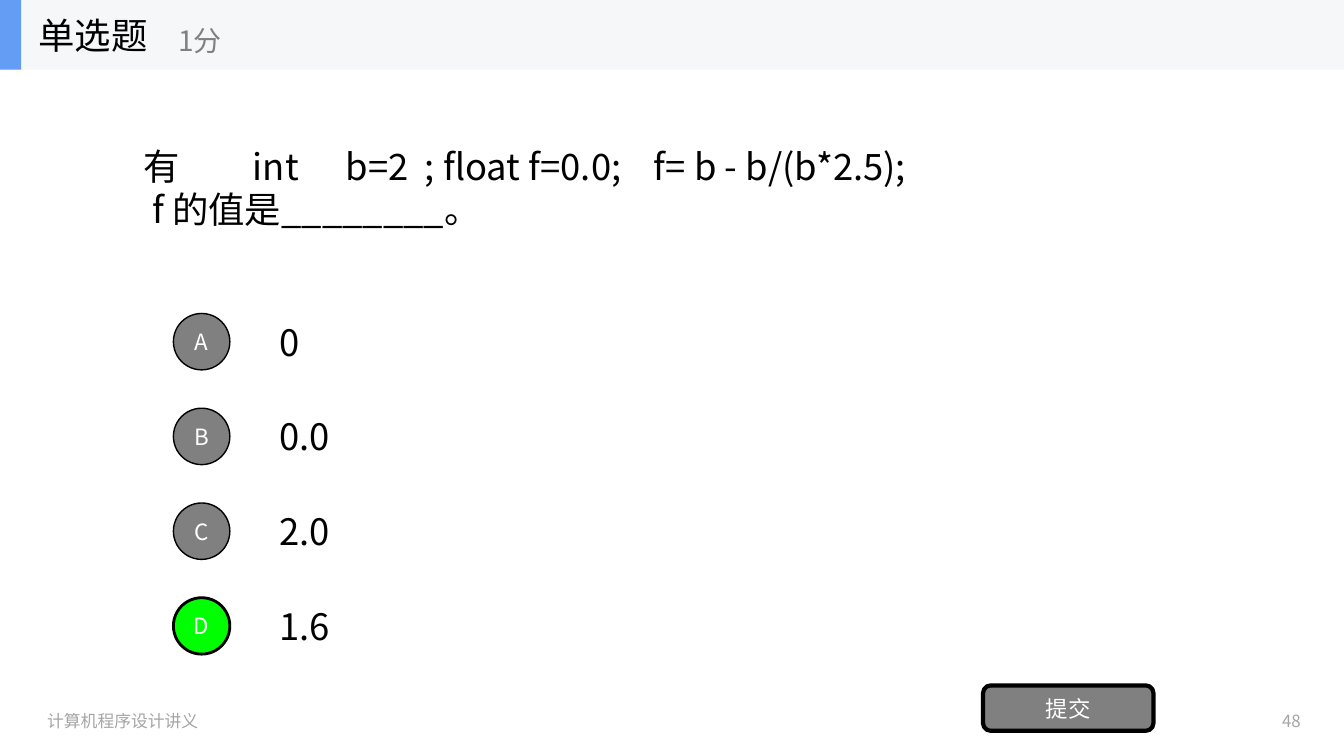
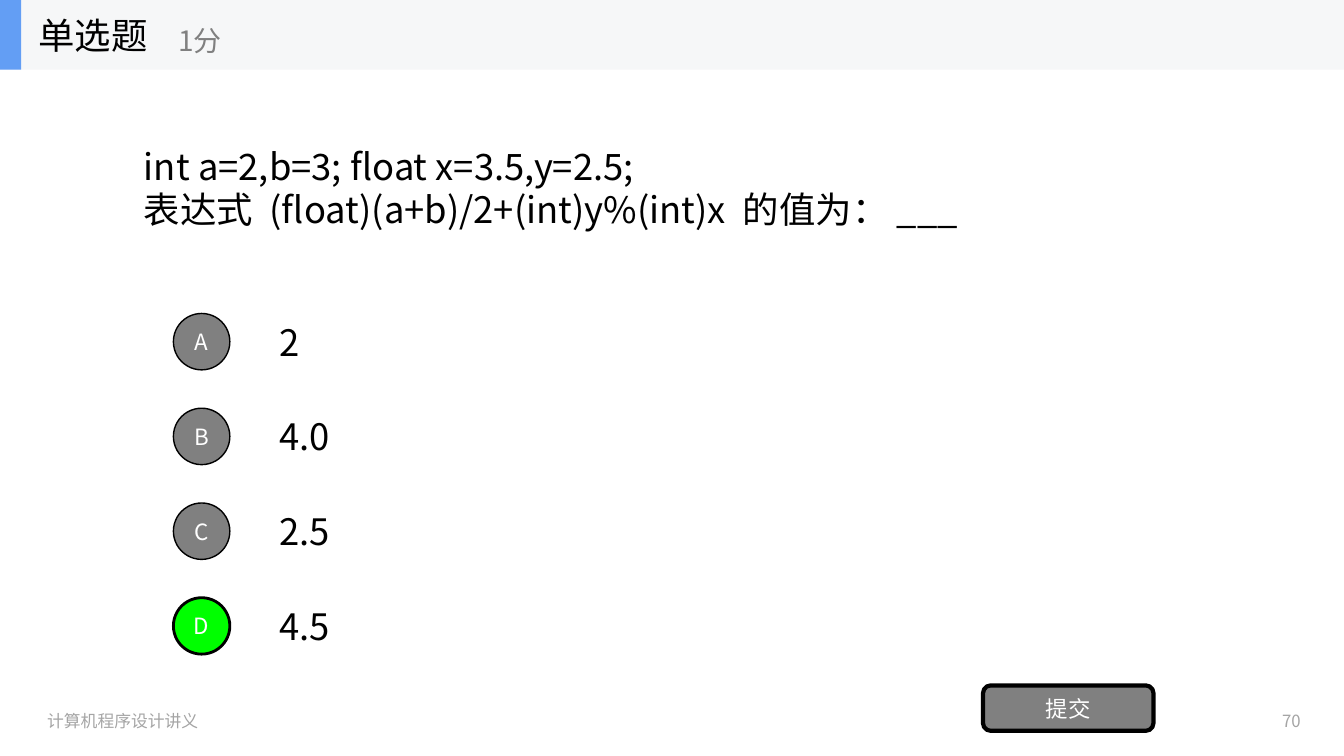
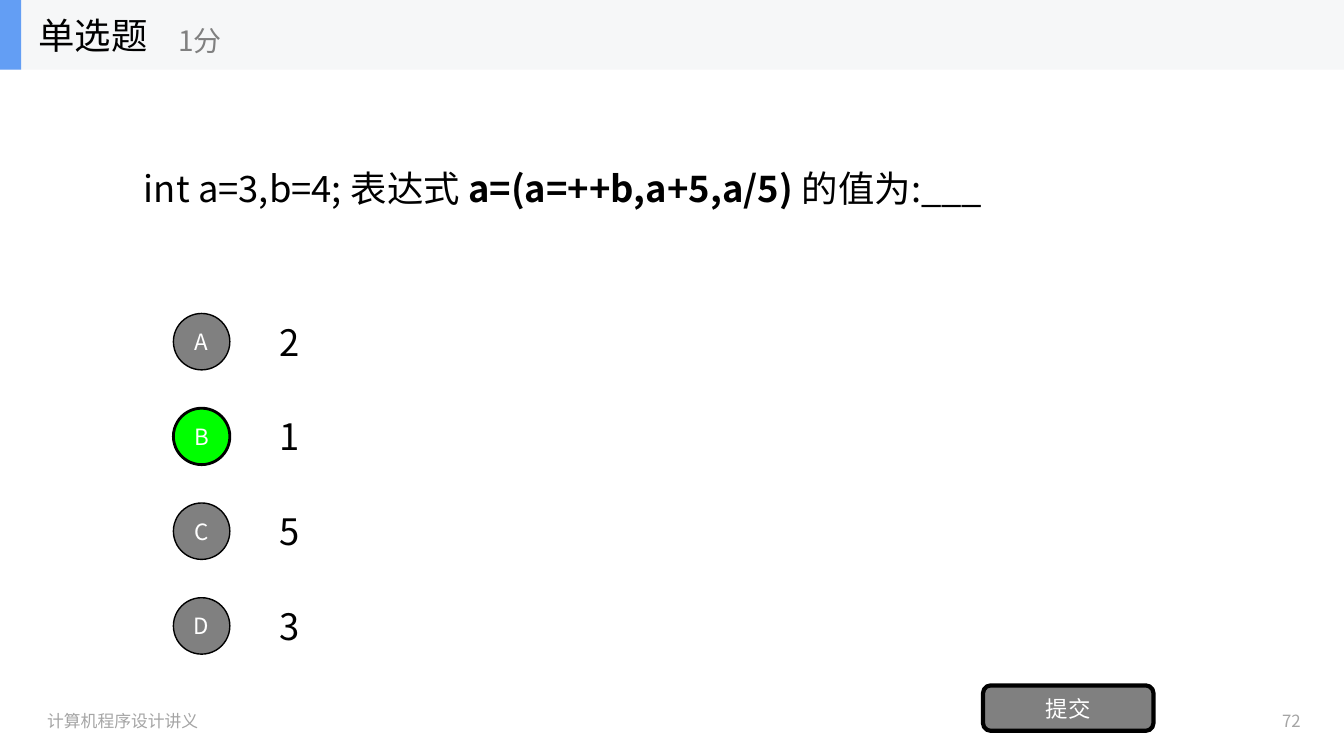
from lxml import etree
from pptx import Presentation
from pptx.dml.color import RGBColor
from pptx.enum.shapes import MSO_SHAPE as Shape
from pptx.enum.text import MSO_ANCHOR as Anchor, MSO_AUTO_SIZE as Auto, PP_ALIGN as Align
from pptx.oxml.ns import qn
from pptx.util import Inches, Pt

FONT = "Noto Sans CJK SC"
BLACK, WHITE, GRAY = "000000", "FFFFFF", "808080"
PALE, BAND, BLUE, GREEN = "A5A5A5", "F6F7F8", "639EF4", "00FF00"
WIDTH, BAR = 13.33, 0.69
DISC, STEP, TOP = 0.56, 0.94, 3.11
ROW = 0.7
TABS = (1, 2)

TITLE, SCORE = "单选题", "1分"
FOOTER, SUBMIT = "计算机程序设计讲义", "提交"

# Each line of a question is a list of (text, bold) runs.
QUIZ = [
    {
        "page": 48,
        "lines": [
            [("有\t int\tb=2  ; float f=0.0;    f= b - b/(b*2.5);", False)],
            [(" f 的值是________。", False)],
        ],
        "options": ["0", "0.0", "2.0", "1.6"],
        "answer": "D",
    },
    {
        "page": 70,
        "lines": [
            [("int a=2,b=3; float x=3.5,y=2.5;", False)],
            [("表达式  (float)(a+b)/2+(int)y%(int)x  的值为： ___", False)],
        ],
        "options": ["2", "4.0", "2.5", "4.5"],
        "answer": "D",
    },
    {
        "page": 72,
        "lines": [
            [
                ("int a=3,b=4; 表达式 ", False),
                ("a=(a=++b,a+5,a/5) ", True),
                ("的值为:___", False),
            ],
        ],
        "options": ["2", "1", "5", "3"],
        "answer": "B",
    },
]


def rgb(code):
    return RGBColor.from_string(code)


def place(shape, box):
    shape.left, shape.top, shape.width, shape.height = map(Inches, box)


def set_tabs(para):
    tabs = etree.SubElement(para._p.get_or_add_pPr(), qn("a:tabLst"))
    for stop in TABS:
        etree.SubElement(tabs, qn("a:tab"), pos=str(Inches(stop)), algn="l")


def write(shape, lines, size, color, align=Align.LEFT):
    frame = shape.text_frame
    frame.word_wrap = True
    frame.auto_size = Auto.NONE
    frame.vertical_anchor = Anchor.MIDDLE
    for i, runs in enumerate(lines):
        para = frame.add_paragraph() if i else frame.paragraphs[0]
        para.alignment = align
        if any("\t" in text for text, _ in runs):
            set_tabs(para)
        for text, bold in runs:
            run = para.add_run()
            run.text = text
            font = run.font
            font.name, font.size, font.bold = FONT, Pt(size), bold
            font.color.rgb = rgb(color)
            etree.SubElement(run._r.get_or_add_rPr(), qn("a:ea"), typeface=FONT)


def add_text(slide, box, text, size, color, align=Align.LEFT):
    shape = slide.shapes.add_textbox(*map(Inches, box))
    lines = [[(text, False)]] if isinstance(text, str) else text
    write(shape, lines, size, color, align)


def add_block(slide, kind, box, fill, line=0):
    shape = slide.shapes.add_shape(kind, *map(Inches, box))
    shape.shadow.inherit = False
    shape.fill.solid()
    shape.fill.fore_color.rgb = rgb(fill)
    if line:
        shape.line.color.rgb = rgb(BLACK)
        shape.line.width = Pt(line)
    else:
        shape.line.fill.background()
    return shape


def add_button(slide, kind, box, text, fill, line):
    shape = add_block(slide, kind, box, fill, line)
    frame = shape.text_frame
    frame.margin_left = frame.margin_right = 0
    frame.margin_top = frame.margin_bottom = 0
    write(shape, [[(text, False)]], 16, WHITE, Align.CENTER)


def add_frame(slide, page):
    """Add the header band, title, footer and submit button."""
    add_block(slide, Shape.RECTANGLE, (0, 0, WIDTH, BAR), BAND)
    add_block(slide, Shape.RECTANGLE, (0, 0, 0.21, BAR), BLUE)
    title = slide.shapes.title
    title.element.getparent().append(title.element)  # bring in front of the band
    place(title, (0.28, 0, 2.08, BAR))
    write(title, [[(TITLE, False)]], 26, BLACK)
    add_text(slide, (1.67, 0.12, 2.5, 0.56), SCORE, 20, GRAY)
    add_text(slide, (0.37, 6.95, 4.5, 0.4), FOOTER, 12, PALE)
    add_text(slide, (12.19, 6.95, 0.81, 0.4), str(page), 12, PALE, Align.RIGHT)
    add_button(slide, Shape.ROUNDED_RECTANGLE, (9.75, 6.8, 1.69, 0.45), SUBMIT, GRAY, 3)


def add_options(slide, options, answer):
    for i, (mark, text) in enumerate(zip("ABCD", options)):
        top = TOP + i * STEP
        fill, line = (GREEN, 2) if mark == answer else (GRAY, 1)
        add_button(slide, Shape.OVAL, (1.72, top, DISC, DISC), mark, fill, line)
        add_text(slide, (2.67, top - (ROW - DISC) / 2, 9.33, ROW), text, 26, BLACK)


def main():
    deck = Presentation()
    deck.slide_width, deck.slide_height = Inches(WIDTH), Inches(7.5)
    for item in QUIZ:
        slide = deck.slides.add_slide(deck.slide_layouts[5])
        add_frame(slide, item["page"])
        add_text(slide, (1.33, BAR, 10.67, 2.34), item["lines"], 26, BLACK)
        add_options(slide, item["options"], item["answer"])
    deck.save("out.pptx")


if __name__ == "__main__":
    main()
